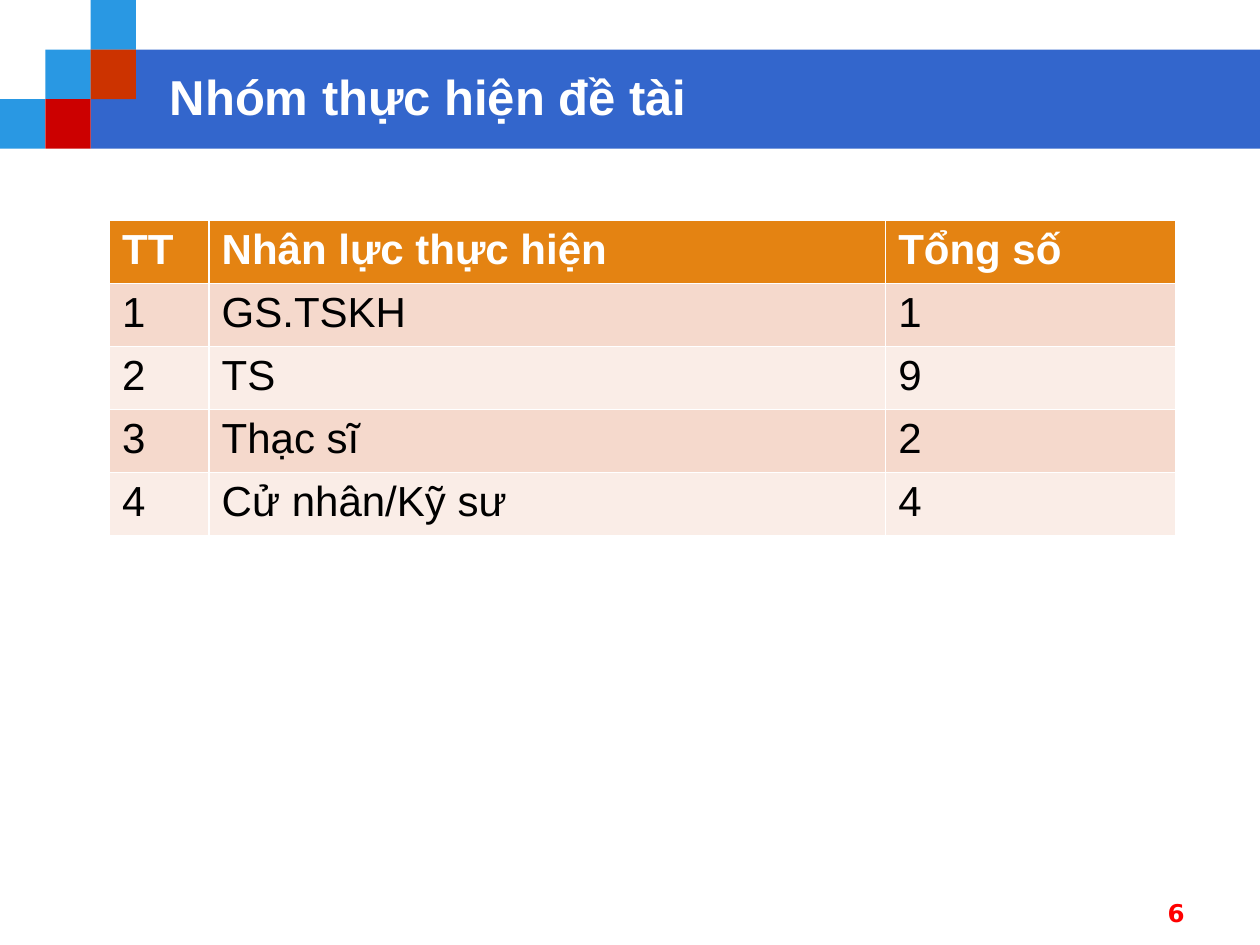
from pptx import Presentation
from pptx.dml.color import RGBColor
from pptx.enum.shapes import MSO_SHAPE
from pptx.enum.text import MSO_ANCHOR, PP_ALIGN
from pptx.util import Inches, Pt

RECTANGLE = MSO_SHAPE.RECTANGLE
MIDDLE = MSO_ANCHOR.MIDDLE
TOP = MSO_ANCHOR.TOP
LEFT = PP_ALIGN.LEFT
CENTER = PP_ALIGN.CENTER

WHITE = "FFFFFF"
BLUE = "2998E3"
HEADER_FILL = "E48312"
BAND_FILLS = ("F5D9CC", "FAEDE7")

STAFF = [
    ("TT", "Nhân lực thực hiện", "Tổng số"),
    ("1", "GS.TSKH", "1"),
    ("2", "TS", "9"),
    ("3", "Thạc sĩ", "2"),
    ("4", "Cử nhân/Kỹ sư", "4"),
]


def color(value):
    return RGBColor.from_string(value)


def style_paragraph(paragraph, size, font_color, bold, name="Arial", alignment=LEFT):
    paragraph.alignment = alignment
    font = paragraph.font
    font.name = name
    font.size = Pt(size)
    font.bold = bold
    font.color.rgb = color(font_color)


def add_block(slide, left, top, width, height, fill):
    shape = slide.shapes.add_shape(
        RECTANGLE, Inches(left), Inches(top), Inches(width), Inches(height)
    )
    shape.shadow.inherit = False
    shape.fill.solid()
    shape.fill.fore_color.rgb = color(fill)
    shape.line.fill.background()


def add_text(slide, left, top, width, height, text, anchor, **style):
    shape = slide.shapes.add_textbox(
        Inches(left), Inches(top), Inches(width), Inches(height)
    )
    frame = shape.text_frame
    frame.word_wrap = True
    frame.vertical_anchor = anchor
    paragraph = frame.paragraphs[0]
    paragraph.text = text
    style_paragraph(paragraph, **style)


def add_banner(slide, left, top, width, height):
    step_x, step_y = 0.36, height / 3
    add_block(slide, left + 2 * step_x, top + step_y, width - 2 * step_x, 2 * step_y, "3366CC")
    squares = [(0, 2, BLUE), (1, 1, BLUE), (2, 0, BLUE), (2, 1, "CC3300"), (1, 2, "CC0000")]
    for column, row, fill in squares:
        add_block(slide, left + column * step_x, top + row * step_y, step_x, step_y, fill)
    add_text(
        slide, left + 1.25, top + 0.5, 8.08, 0.53, "Nhóm thực hiện đề tài", MIDDLE,
        size=28, font_color=WHITE, bold=True,
    )


def add_staff_table(slide, left, top, width, height):
    frame = slide.shapes.add_table(
        len(STAFF), len(STAFF[0]), Inches(left), Inches(top), Inches(width), Inches(height)
    )
    table = frame.table
    for column, column_width in zip(table.columns, (0.79, 5.37, 2.3)):
        column.width = Inches(column_width)
    for row_index, texts in enumerate(STAFF):
        is_header = row_index == 0
        fill = HEADER_FILL if is_header else BAND_FILLS[(row_index - 1) % 2]
        for column_index, text in enumerate(texts):
            cell = table.cell(row_index, column_index)
            cell.fill.solid()
            cell.fill.fore_color.rgb = color(fill)
            paragraph = cell.text_frame.paragraphs[0]
            paragraph.text = text
            style_paragraph(paragraph, 24, WHITE if is_header else "000000", is_header)


def add_page_number(slide, left, top, width, height):
    add_text(
        slide, left, top, width, height, "6", TOP,
        size=14, font_color="FF0000", bold=True, name="DejaVu Sans", alignment=CENTER,
    )


def main():
    presentation = Presentation()
    presentation.slide_width = Inches(10)
    presentation.slide_height = Inches(7.5)
    slide = presentation.slides.add_slide(presentation.slide_layouts[6])
    add_banner(slide, 0, 0, 10, 1.18)
    add_staff_table(slide, 0.87, 1.75, 8.46, 2.36)
    add_page_number(slide, 9, 7.08, 0.67, 0.35)
    presentation.save("out.pptx")


if __name__ == "__main__":
    main()
